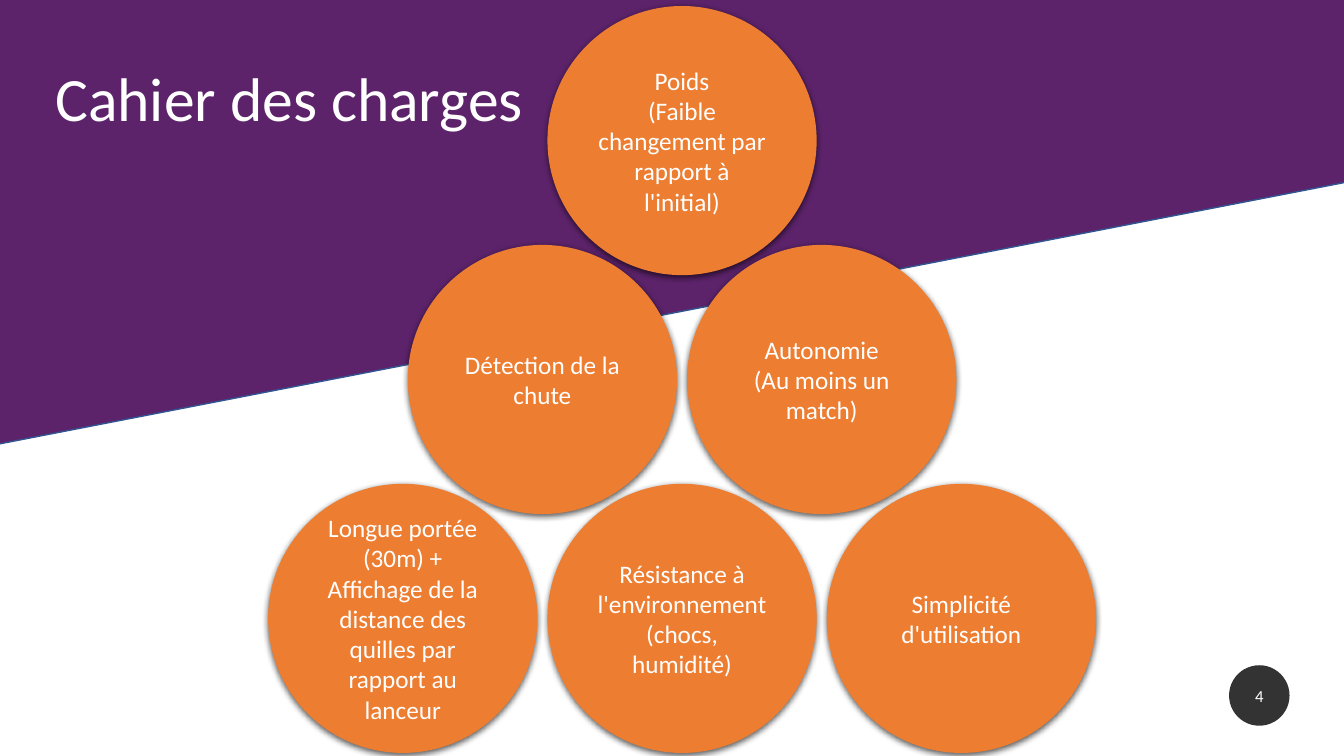
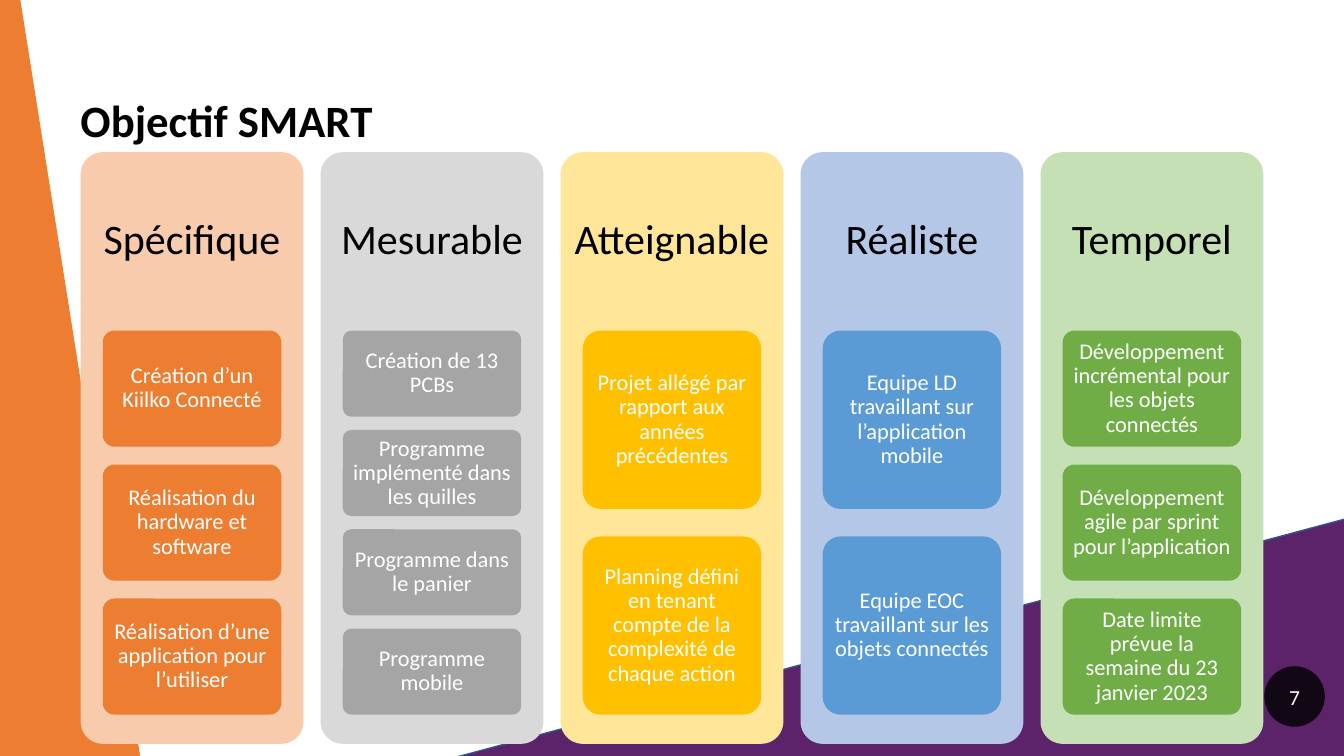
"""Build two project slides: the requirements pyramid and the SMART objectives."""
from lxml import etree
from pptx import Presentation
from pptx import util as u
from pptx.dml.color import RGBColor
from pptx.enum import shapes, text
from pptx.oxml import ns

FONT = "Calibri"
COLORS = {
    "purple": "5C236A", "edge": "325491", "orange": "ED7D31", "peach": "F8CBAD",
    "gray": "A5A5A5", "silver": "D9D9D9", "gold": "FFC000", "cream": "FFE699",
    "blue": "5B9BD5", "sky": "B4C7E7", "green": "70AD47", "mint": "C5E0B4",
    "black": "000000", "white": "FFFFFF",
}
PYRAMID = [
    ["Poids\n(Faible changement par rapport à l'initial)"],
    ["Détection de la chute", "Autonomie\n(Au moins un match)"],
    ["Longue portée (30m) + Affichage de la distance des quilles par rapport au lanceur",
     "Résistance à l'environnement (chocs, humidité)", "Simplicité d'utilisation"],
]
OBJECTIVES = [
    ("Spécifique", "peach", "orange",
     ["Création d’un Kiilko Connecté", "Réalisation du hardware et software",
      "Réalisation d’une application pour l’utiliser"]),
    ("Mesurable", "silver", "gray",
     ["Création de 13 PCBs", "Programme implémenté dans les quilles",
      "Programme dans le panier", "Programme mobile"]),
    ("Atteignable", "cream", "gold",
     ["Projet allégé par rapport aux années précédentes",
      "Planning défini en tenant compte de la complexité de chaque action"]),
    ("Réaliste", "sky", "blue",
     ["Equipe LD travaillant sur l’application mobile",
      "Equipe EOC travaillant sur les objets connectés"]),
    ("Temporel", "mint", "green",
     ["Développement incrémental pour les objets connectés",
      "Développement agile par sprint pour l’application",
      "Date limite prévue la semaine du 23 janvier 2023"]),
]


def rgb(name):
    return RGBColor.from_string(COLORS[name])


def write(sp, content, size=18, color="white", bold=False, align="CENTER",
          anchor="MIDDLE", spacing=1.0, insets=(0.1, 0.05)):
    tf = sp.text_frame
    tf.word_wrap = True
    tf.vertical_anchor = getattr(text.MSO_ANCHOR, anchor)
    tf.margin_left = tf.margin_right = u.Inches(insets[0])
    tf.margin_top = tf.margin_bottom = u.Inches(insets[1])
    for i, line in enumerate(content.split("\n")):
        p = tf.add_paragraph() if i else tf.paragraphs[0]
        p.alignment = getattr(text.PP_ALIGN, align)
        p.line_spacing = spacing
        r = p.add_run()
        r.text = line
        r.font.name, r.font.size, r.font.bold = FONT, u.Pt(size), bold
        r.font.color.rgb = rgb(color)


class Deck:
    def __init__(self):
        self.prs = Presentation()
        self.prs.slide_width, self.prs.slide_height = u.Inches(13.33), u.Inches(7.5)
        self.s = None

    def new_slide(self):
        self.s = self.prs.slides.add_slide(self.prs.slide_layouts[6])

    def shape(self, kind, box, fill, line=None):
        sp = self.s.shapes.add_shape(getattr(shapes.MSO_SHAPE, kind), *map(u.Inches, box))
        sp.shadow.inherit = False
        sp.fill.solid()
        sp.fill.fore_color.rgb = rgb(fill)
        if line:
            sp.line.color.rgb = rgb(line)
            sp.line.width = u.Pt(1)
        else:
            sp.line.fill.background()
        return sp

    def band(self, box, angle, fill, line=None):
        self.shape("RECTANGLE", box, fill, line).rotation = angle

    def label(self, box, content, **fmt):
        write(self.s.shapes.add_textbox(*map(u.Inches, box)), content, **fmt)

    def title(self, box, content, **fmt):
        self.label(box, content, align="LEFT", anchor="BOTTOM", **fmt)

    def page_number(self, left, top, number, size):
        sp = self.shape("OVAL", (left, top, 0.6, 0.6), "black")
        color = sp._element.spPr.find(".//" + ns.qn("a:srgbClr"))
        etree.SubElement(color, ns.qn("a:alpha"), val="80000")
        write(sp, str(number), size=size)

    def bubble(self, left, top, size, content):
        sp = self.shape("OVAL", (left, top, size, size), "orange")
        effects = sp._element.spPr.find(ns.qn("a:effectLst"))
        shadow = etree.SubElement(effects, ns.qn("a:outerShdw"), blurRad="57150",
                                  dist="19050", dir="5400000", algn="ctr", rotWithShape="0")
        color = etree.SubElement(shadow, ns.qn("a:srgbClr"), val=COLORS["black"])
        etree.SubElement(color, ns.qn("a:alpha"), val="63000")
        write(sp, content)

    def rounded(self, box, fill):
        sp = self.shape("ROUNDED_RECTANGLE", box, fill)
        sp.adjustments[0] = 0.1
        return sp

    def column(self, left, heading, pale, strong, items):
        top, width, cards_top, cards_height = 1.51, 2.21, 3.28, 3.81
        self.rounded((left, top, width, 5.87), pale)
        self.label((left, top, width, 1.76), heading, size=30, color="black",
                   spacing=0.9, insets=(0.12, 0.12))
        gap_ratio = 2 / 13
        height = cards_height / (len(items) + (len(items) - 1) * gap_ratio)
        for i, item in enumerate(items):
            y = cards_top + i * height * (1 + gap_ratio)
            card = self.rounded((left + 0.22, y, 1.77, height), strong)
            write(card, item, size=16, spacing=0.9, insets=(0.04, 0.03))


def requirements_slide(deck):
    deck.new_slide()
    deck.band((3.25, -8.33, 5.41, 17.64), 259, "purple", "edge")
    pitch = 2.77
    for row, items in enumerate(PYRAMID):
        for col, item in enumerate(items):
            deck.bubble(5.43 + (col - row / 2) * pitch, 0.06 + row * 2.37, 2.67, item)
    deck.page_number(12.19, 6.6, 4, 12)
    deck.title((0.45, 0.63, 5.05, 0.74), "Cahier des charges", size=44, spacing=0.8)


def objectives_slide(deck):
    deck.new_slide()
    deck.band((-4.56, -0.58, 5.41, 9.77), 351, "orange")
    deck.band((6.92, 4.06, 5.41, 9.77), 75, "purple", "edge")
    deck.title((0.7, 0.85, 5.53, 0.66), "Objectif SMART", size=32, color="black",
               bold=True, spacing=0.9)
    deck.page_number(12.54, 6.61, 7, 15.3)
    for i, objective in enumerate(OBJECTIVES):
        deck.column(0.8 + i * 2.38, *objective)


def main():
    deck = Deck()
    requirements_slide(deck)
    objectives_slide(deck)
    deck.prs.save("out.pptx")


if __name__ == "__main__":
    main()
